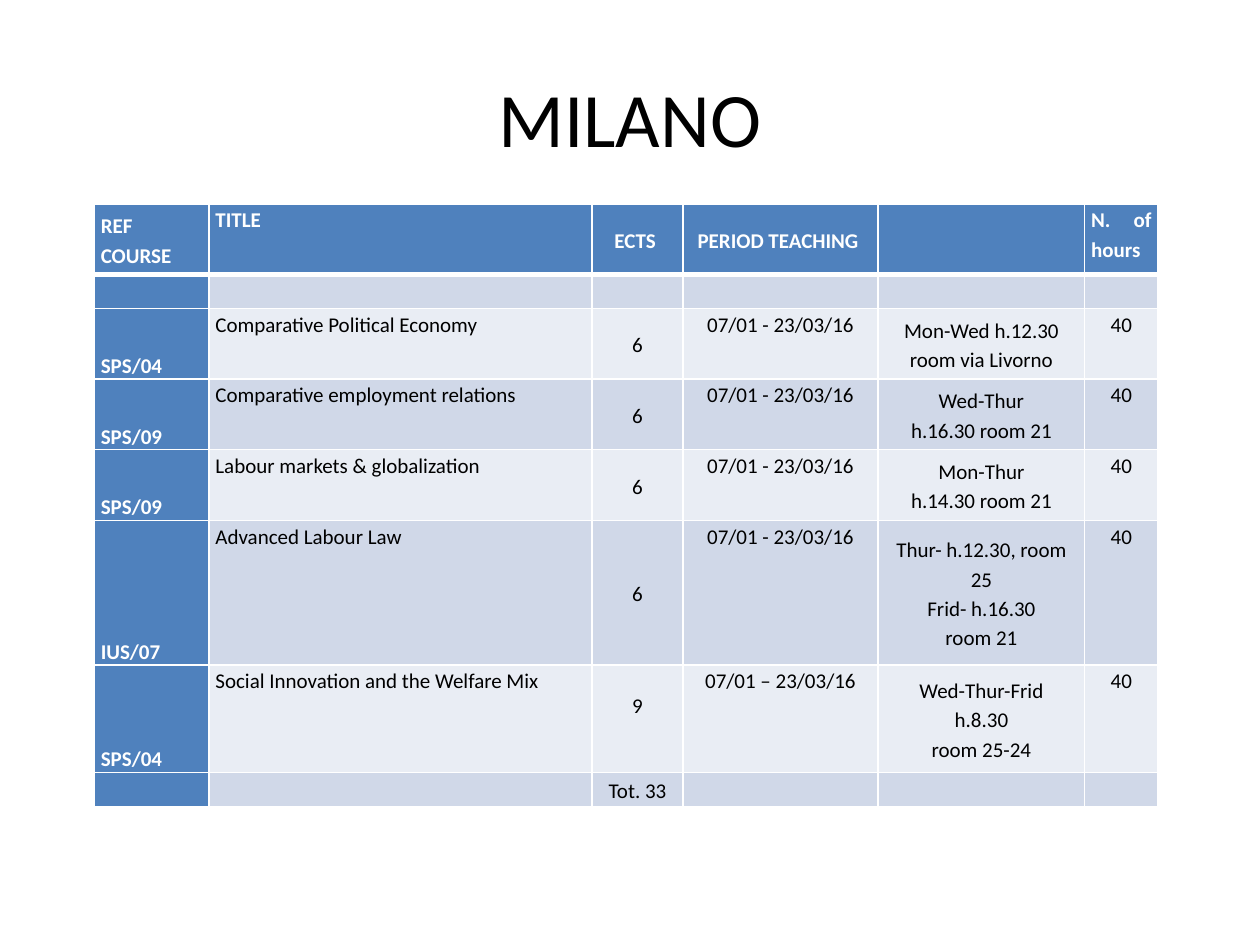
from lxml import etree
from pptx import Presentation
from pptx.dml.color import RGBColor
from pptx.enum.text import MSO_ANCHOR, PP_ALIGN
from pptx.oxml.ns import qn
from pptx.util import Inches, Pt

LEFT, CENTER, JUSTIFY = PP_ALIGN.LEFT, PP_ALIGN.CENTER, PP_ALIGN.JUSTIFY
TOP, MIDDLE, BOTTOM = MSO_ANCHOR.TOP, MSO_ANCHOR.MIDDLE, MSO_ANCHOR.BOTTOM

FONT = "Calibri"
BLACK, WHITE, BLUE = "000000", "FFFFFF", "4F81BD"
BANDS = ("E9EDF4", "D0D8E8")
TEXT_SIZE = 12

COLUMN_WIDTHS = (0.91, 3.04, 0.72, 1.55, 1.64, 0.58)
ROW_HEIGHTS = (0.56, 0.27, 0.56, 0.56, 0.56, 1.15, 0.85, 0.27)
HEADER_ALIGNS = (JUSTIFY, LEFT, CENTER, CENTER, CENTER, JUSTIFY)
HEADER_ANCHORS = (MIDDLE, TOP, MIDDLE, MIDDLE, MIDDLE, TOP)
BODY_ALIGNS = (LEFT, LEFT, CENTER, CENTER, CENTER, CENTER)
BODY_ANCHORS = (BOTTOM, TOP, MIDDLE, TOP, MIDDLE, TOP)

PERIOD = "07/01 - 23/03/16"
COURSES = (
    ("REF COURSE", "TITLE", "ECTS ", "PERIOD TEACHING ", "", "N. of hours"),
    ("",) * 6,
    ("SPS/04", "Comparative Political Economy", "6", PERIOD,
     "Mon-Wed h.12.30\nroom via Livorno", "40"),
    ("SPS/09", "Comparative employment relations", "6", PERIOD,
     "Wed-Thur\nh.16.30 room 21", "40"),
    ("SPS/09", "Labour markets & globalization", "6", PERIOD,
     "Mon-Thur\nh.14.30 room 21", "40"),
    ("IUS/07", "Advanced Labour Law", "6", PERIOD,
     "Thur- h.12.30, room 25\nFrid- h.16.30\nroom 21", "40"),
    ("SPS/04", "Social Innovation and the Welfare Mix", "9",
     "07/01 – 23/03/16", "Wed-Thur-Frid\nh.8.30\nroom 25-24", "40"),
    ("", "", "Tot. 33", "", "", ""),
)


def rgb(color):
    """Turn a hex string into a colour."""
    return RGBColor.from_string(color)


def set_attributes(target, values):
    """Set each named value on the target."""
    for name, value in values.items():
        setattr(target, name, value)


def write_text(frame, text, size, color, bold, paragraph_format):
    """Write one paragraph for each line of the text."""
    for index, line in enumerate(text.split("\n")):
        paragraph = frame.add_paragraph() if index else frame.paragraphs[0]
        set_attributes(paragraph, paragraph_format)
        if line:
            run = paragraph.add_run()
            run.text = line
            set_attributes(run.font, {"name": FONT, "size": Pt(size), "bold": bold})
            run.font.color.rgb = rgb(color)
        else:
            end = etree.SubElement(paragraph._p, qn("a:endParaRPr"))
            end.set("sz", str(size * 100))


def add_title(slide, text):
    """Add the centred slide title."""
    shape = slide.shapes.add_textbox(Inches(0.5), Inches(0.3), Inches(9), Inches(1.25))
    frame = shape.text_frame
    set_attributes(frame, {"word_wrap": True, "vertical_anchor": MIDDLE})
    write_text(frame, text, 44, BLACK, False, {"alignment": CENTER})


def set_borders(cell, widths):
    """Draw white cell borders; widths in points by side."""
    properties = cell._tc.get_or_add_tcPr()
    for side, width in widths.items():
        line = etree.SubElement(properties, qn("a:ln" + side), w=str(Pt(width)))
        fill = etree.SubElement(line, qn("a:solidFill"))
        etree.SubElement(fill, qn("a:srgbClr"), val=WHITE)


def format_cell(cell, text, row, column):
    """Give a cell its borders, fill, margins and text."""
    header = row == 0
    accent = header or column == 0
    set_borders(cell, {"L": 1, "R": 1, "T": 3 if row == 1 else 1, "B": 3 if header else 1})
    cell.fill.solid()
    cell.fill.fore_color.rgb = rgb(BLUE if accent else BANDS[row % 2 if row < 7 else 1])
    set_attributes(cell, {
        "margin_left": Inches(0.05), "margin_right": Inches(0.05),
        "margin_top": 0, "margin_bottom": Inches(0.23) if text == "9" else 0,
        "vertical_anchor": (HEADER_ANCHORS if header else BODY_ANCHORS)[column],
    })
    alignment = (HEADER_ALIGNS if header else BODY_ALIGNS)[column]
    write_text(cell.text_frame, text, TEXT_SIZE, WHITE if accent else BLACK, accent,
               {"alignment": alignment, "line_spacing": 1.15})


def add_course_table(slide):
    """Add the table of courses."""
    table = slide.shapes.add_table(
        len(ROW_HEIGHTS), len(COLUMN_WIDTHS), Inches(0.75), Inches(1.62),
        Inches(sum(COLUMN_WIDTHS)), Inches(sum(ROW_HEIGHTS))).table
    for column, width in zip(table.columns, COLUMN_WIDTHS):
        column.width = Inches(width)
    for row, height in zip(table.rows, ROW_HEIGHTS):
        row.height = Inches(height)
    for row, texts in enumerate(COURSES):
        for column, text in enumerate(texts):
            format_cell(table.cell(row, column), text, row, column)


def main():
    """Build and save the slide."""
    presentation = Presentation()
    set_attributes(presentation, {"slide_width": Inches(10), "slide_height": Inches(7.5)})
    slide = presentation.slides.add_slide(presentation.slide_layouts[6])
    add_title(slide, "MILANO")
    add_course_table(slide)
    presentation.save("out.pptx")


main()
